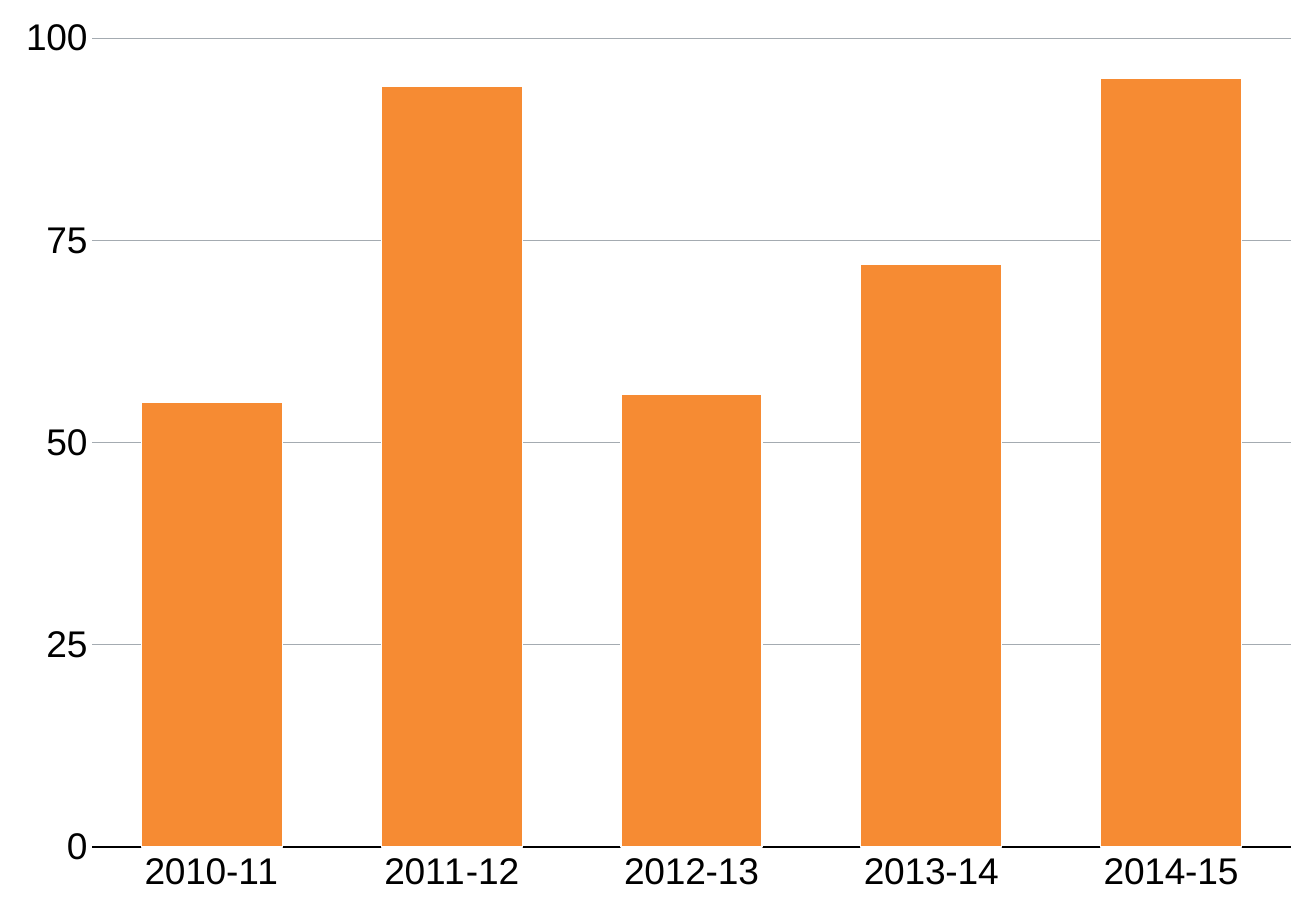
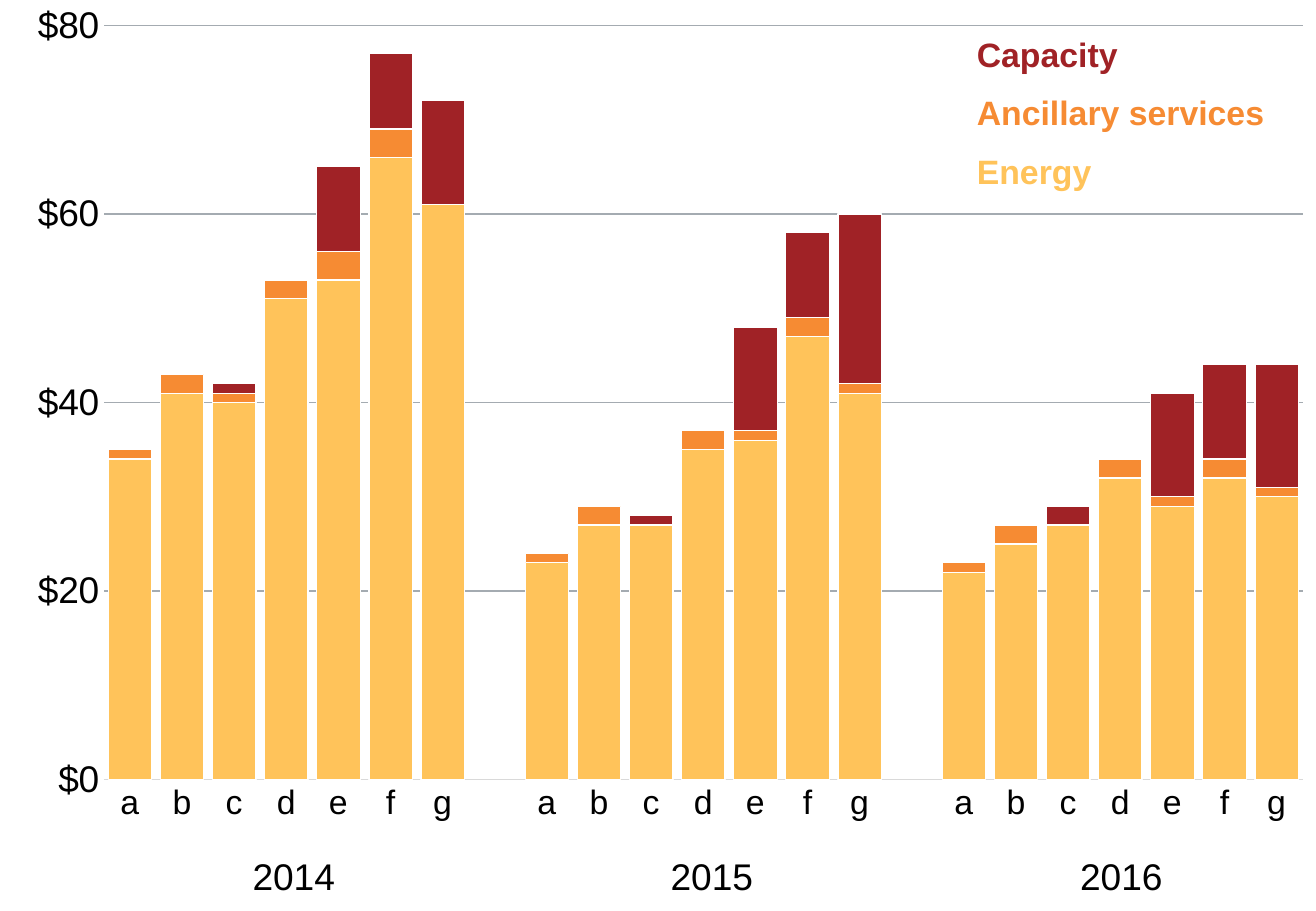
"""Build two slides of stacked column charts on yearly prices and their components."""
from pptx import Presentation
from pptx.chart.data import CategoryChartData
from pptx.dml.color import RGBColor
from pptx.enum.chart import XL_CHART_TYPE, XL_TICK_MARK
from pptx.enum.text import MSO_AUTO_SIZE
from pptx.oxml import parse_xml
from pptx.oxml.ns import nsdecls
from pptx.util import Pt

PX = 9144
WIDTH, HEIGHT = 1083, 750
FONT = "Arial"
COLORS = {
    "text": "000000",
    "grid": "A4ABB1",
    "pale": "D9D9D9",
    "edge": "FFFFFF",
    "energy": "FFC35A",
    "services": "F68B33",
    "capacity": "A02226",
}


def add_text(page, text, left, top, width, height, size=20, color="text", bold=False):
    box = page.shapes.add_textbox(left * PX, top * PX, width * PX, height * PX)
    frame = box.text_frame
    frame.word_wrap = False
    frame.auto_size = MSO_AUTO_SIZE.SHAPE_TO_FIT_TEXT
    span = frame.paragraphs[0].add_run()
    span.text = text
    span.font.name = FONT
    span.font.size = Pt(size)
    span.font.bold = bold
    span.font.color.rgb = RGBColor.from_string(COLORS[color])


def add_columns(page, categories, series, plot_area, top_value, step, number_format,
                gap, label_size, axis_color):
    data = CategoryChartData()
    data.categories = categories
    for number, (color, values) in enumerate(series, 1):
        data.add_series(f"Series {number}", values)
    chart = page.shapes.add_chart(
        XL_CHART_TYPE.COLUMN_STACKED, 0, 0, WIDTH * PX, HEIGHT * PX, data).chart
    chart.has_title = False
    chart.has_legend = False
    chart.font.name = FONT
    chart.font.size = Pt(10)

    plot = chart.plots[0]
    plot.gap_width = gap
    plot.overlap = 100
    plot.vary_by_categories = False
    for column, (color, values) in zip(plot.series, series):
        column.invert_if_negative = False
        column.format.fill.solid()
        column.format.fill.fore_color.rgb = RGBColor.from_string(COLORS[color])
        column.format.line.color.rgb = RGBColor.from_string(COLORS["edge"])
        column.format.line.width = Pt(0.75)

    value_axis, category_axis = chart.value_axis, chart.category_axis
    for axis, size in ((value_axis, 22), (category_axis, label_size)):
        axis.major_tick_mark = XL_TICK_MARK.NONE
        axis.minor_tick_mark = XL_TICK_MARK.NONE
        font = axis.tick_labels.font
        font.name = FONT
        font.size = Pt(size)
        font.color.rgb = RGBColor.from_string(COLORS["text"])
    value_axis.minimum_scale = 0
    value_axis.maximum_scale = top_value
    value_axis.major_unit = step
    value_axis.tick_labels.number_format = number_format
    value_axis.tick_labels.number_format_is_linked = False
    value_axis.format.line.fill.background()
    value_axis.has_major_gridlines = True
    for line, color in ((value_axis.major_gridlines.format.line, "grid"),
                        (category_axis.format.line, axis_color)):
        line.color.rgb = RGBColor.from_string(COLORS[color])
        line.width = Pt(0.75)

    area = chart.element.xpath(".//c:plotArea")[0]
    for layout in area.xpath("./c:layout"):
        area.remove(layout)
    places = "".join(f'<c:{name} val="{value / 100}"/>'
                     for name, value in zip("xywh", plot_area))
    area.insert(0, parse_xml(
        f'<c:layout {nsdecls("c")}><c:manualLayout><c:layoutTarget val="inner"/>'
        f'<c:xMode val="edge"/><c:yMode val="edge"/>{places}'
        '</c:manualLayout></c:layout>'))


deck = Presentation()
deck.slide_width = WIDTH * PX
deck.slide_height = HEIGHT * PX
blank = deck.slide_layouts[6]

page = deck.slides.add_slide(blank)
add_columns(
    page, [f"{year}-{year - 1999}" for year in range(2010, 2015)],
    [("services", [55, 94, 56, 72, 95])],
    plot_area=(7, 4.2, 91.1, 88.8), top_value=100, step=25,
    number_format="0", gap=70, label_size=22, axis_color="text")

page = deck.slides.add_slide(blank)
letters = list("abcdefg")
add_columns(
    page, letters + [""] + letters + [""] + letters,
    [("energy", [34, 41, 40, 51, 53, 66, 61, None,
                 23, 27, 27, 35, 36, 47, 41, None,
                 22, 25, 27, 32, 29, 32, 30]),
     ("services", [1, 2, 1, 2, 3, 3, 0, None,
                   1, 2, 0, 2, 1, 2, 1, None,
                   1, 2, 0, 2, 1, 2, 1]),
     ("capacity", [0, 0, 1, 0, 9, 8, 11, None,
                   0, 0, 1, 0, 11, 9, 18, None,
                   0, 0, 2, None, 11, 10, 13])],
    plot_area=(7.9, 2.8, 91.1, 82.8), top_value=80, step=20,
    number_format='"$"#,##0', gap=20, label_size=20, axis_color="pale")

legend = [("Capacity", "capacity", 137),
          ("Ancillary services", "services", 258),
          ("Energy", "energy", 115)]
for row, (label, color, width) in enumerate(legend):
    add_text(page, label, 794, 23 + 48 * row, width, 44, color=color, bold=True)
for year, left in (("2014", 198), ("2015", 542), ("2016", 879)):
    add_text(page, year, left, 698, 89, 47, size=22)

deck.save("out.pptx")
